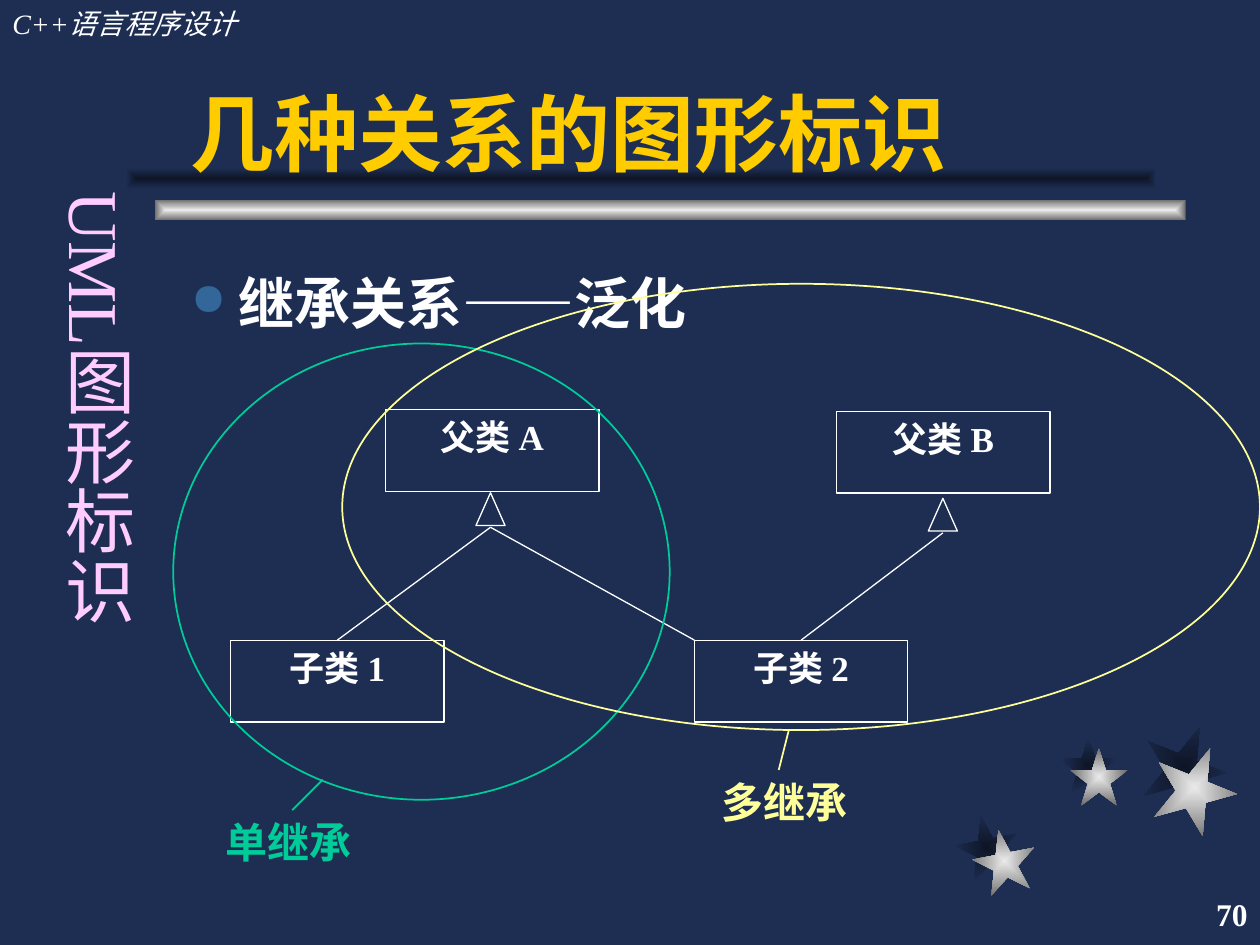
from lxml.etree import SubElement
from pptx import Presentation
from pptx.dml.color import RGBColor
from pptx.enum.shapes import MSO_CONNECTOR, MSO_SHAPE
from pptx.enum.text import MSO_ANCHOR, PP_ALIGN
from pptx.oxml.ns import qn
from pptx.util import Pt

NAVY, SHADE, WHITE = "1E2E53", "0E1526", "FFFFFF"
SILVER, GRAY = "EAEAEA", "6C6C6C"
GOLD, PINK, GREEN, YELLOW = "FFCC00", "FFCCFF", "00CC99", "FFFF99"
SERIF, SANS = "Times New Roman", "Arial"


def color(value):
    return RGBColor.from_string(value)


def write(shape, text, align=PP_ALIGN.LEFT, anchor=MSO_ANCHOR.TOP,
          font_color=WHITE, bullet=None, margins=(7.2, 3.6), **font_values):
    frame = shape.text_frame
    frame.word_wrap = True
    frame.vertical_anchor = anchor
    frame.margin_left = frame.margin_right = Pt(margins[0])
    frame.margin_top = frame.margin_bottom = Pt(margins[1])
    paragraph = frame.paragraphs[0]
    paragraph.text = text
    paragraph.alignment = align
    if bullet:
        add_bullet(paragraph, bullet)
    font = paragraph.runs[0].font
    for name, value in font_values.items():
        setattr(font, name, value)
    font.color.rgb = color(font_color)


def add_bullet(paragraph, bullet_color):
    properties = paragraph._p.get_or_add_pPr()
    properties.set("marL", str(Pt(27)))
    properties.set("indent", str(-Pt(27)))
    tint = SubElement(properties, qn("a:buClr"))
    SubElement(tint, qn("a:srgbClr"), val=bullet_color)
    SubElement(properties, qn("a:buSzPct"), val="80000")
    SubElement(properties, qn("a:buChar"), char="●")


def add_text(slide, box, text, **values):
    shape = slide.shapes.add_textbox(*map(Pt, box))
    write(shape, text, **values)
    return shape


def add_outline(slide, kind, box, line_color=WHITE, width=0.75):
    shape = slide.shapes.add_shape(kind, *map(Pt, box))
    shape.shadow.inherit = False
    shape.fill.background()
    shape.line.color.rgb = color(line_color)
    shape.line.width = Pt(width)
    return shape


def add_glow(slide, kind, box, center, edge, rotation=0):
    """Shape whose gradient runs from its centre to its edges."""
    shape = slide.shapes.add_shape(kind, *map(Pt, box))
    shape.shadow.inherit = False
    shape.line.fill.background()
    shape.rotation = rotation
    shape.fill.gradient()
    for stop, value in zip(shape.fill.gradient_stops, (center, edge)):
        stop.color.rgb = color(value)
    gradient = shape._element.spPr.find(qn("a:gradFill"))
    gradient.remove(gradient.find(qn("a:lin")))
    shade_path = SubElement(gradient, qn("a:path"), {"path": "rect"})
    SubElement(shade_path, qn("a:fillToRect"), dict.fromkeys("ltrb", "50000"))


def add_line(slide, start, end, line_color=WHITE, width=0.75):
    line = slide.shapes.add_connector(
        MSO_CONNECTOR.STRAIGHT, *map(Pt, (*start, *end)))
    line.line.color.rgb = color(line_color)
    line.line.width = Pt(width)
    SubElement(line._element.spPr, qn("a:effectLst"))
    return line


def draw_stars(slide, box):
    left, top = box[:2]
    # offset of the shadow, offset of the star, size, rotation
    stars = [
        ((0, 52), (10, 60), 36, 349),
        ((59.5, 7), (65.5, 13.5), 33, 0),
        ((106.5, 0), (112.5, 12), 48, 22),
    ]
    for layer, colors in enumerate([(SHADE, NAVY), (SILVER, GRAY)]):
        for *offsets, size, rotation in stars:
            x, y = offsets[layer]
            add_glow(slide, MSO_SHAPE.STAR_5_POINT,
                     (left + x, top + y, size, size), *colors, rotation)


def draw_title_bar(slide, box):
    left, top, width, height = box
    add_glow(slide, MSO_SHAPE.RECTANGLE, box, SILVER, GRAY)
    add_glow(slide, MSO_SHAPE.RECTANGLE,
             (left - 16.5, top - 18, width, height), SHADE, NAVY)


def draw_headings(slide, box):
    width, height = box[2:]
    add_text(slide, (0, 0, 222, 26.6), "C++语言程序设计",
             size=Pt(16), name=SERIF, italic=True)
    add_text(slide, (width - 150, height - 36, 150, 36), "70",
             align=PP_ALIGN.RIGHT, anchor=MSO_ANCHOR.MIDDLE,
             size=Pt(18), name=SERIF, bold=True)
    add_text(slide, (102, 18, 564, 90), "几种关系的图形标识",
             anchor=MSO_ANCHOR.BOTTOM, font_color=GOLD,
             size=Pt(48), name=SANS, bold=True)
    add_text(slide, (102, 150, 570, 324), "继承关系——泛化",
             bullet="336699", size=Pt(32), name=SANS, bold=True)


def draw_side_label(slide, box):
    label = add_text(slide, box, "UML图形标识", align=PP_ALIGN.CENTER,
                     margins=(3.6, 7.2), font_color=PINK,
                     size=Pt(40), name=SERIF)
    label.text_frame._txBody.bodyPr.set("vert", "eaVert")


def draw_class_diagram(slide, box):
    left, top, width, height = box
    class_width, class_height = 122, 46.8
    child_top = top + height - class_height
    right = left + width

    # Class boxes
    classes = {}
    for name, x, y in [
        ("父类 A", left + 88.5, top),
        ("父类 B", right - class_width, top + 1),
        ("子类 1", left, child_top),
        ("子类 2", left + 265, child_top),
    ]:
        shape = add_outline(slide, MSO_SHAPE.RECTANGLE,
                            (x, y, class_width, class_height))
        write(shape, name, align=PP_ALIGN.CENTER,
              size=Pt(20), name=SERIF, bold=True)
        classes[name] = shape

    # Generalization triangles
    base_a = (left + 148.5, top + 67.3)
    base_b = (left + 407, top + 70.5)
    for x, y in (base_a, base_b):
        add_outline(slide, MSO_SHAPE.ISOSCELES_TRIANGLE,
                    (x - 8.3, y - 19.7, 16.6, 18.7))

    # Lines from the triangles to the children
    add_line(slide, base_a, (left + 265, child_top))
    for base, child in ((base_a, "子类 1"), (base_b, "子类 2")):
        add_line(slide, base, (left, child_top)).end_connect(classes[child], 0)


def draw_group(slide, box, label, label_at, pointer, line_color):
    add_text(slide, (*label_at, 96.5, 36), label, font_color=line_color,
             size=Pt(24), name=SERIF, bold=True)
    add_outline(slide, MSO_SHAPE.OVAL, box, line_color, 1)
    add_line(slide, *pointer, line_color, 1)


def main():
    presentation = Presentation()
    presentation.slide_width, presentation.slide_height = Pt(720), Pt(540)
    slide = presentation.slides.add_slide(presentation.slide_layouts[6])
    slide.background.fill.solid()
    slide.background.fill.fore_color.rgb = color(NAVY)

    draw_stars(slide, (546, 414, 160, 98))
    draw_title_bar(slide, (88.5, 114, 589, 12))
    draw_headings(slide, (0, 0, 720, 540))
    draw_class_diagram(slide, (131.8, 234, 468.2, 178.6))
    draw_side_label(slide, (21.6, 102, 62, 372))
    draw_group(slide, (99, 196.3, 283.7, 260.7), "单继承", (121.7, 463),
               ((167, 463), (184.5, 445.5)), GREEN)
    draw_group(slide, (195.6, 162.2, 524.4, 255), "多继承", (405, 440),
               ((445, 440), (450.7, 417.5)), YELLOW)
    presentation.save("out.pptx")


if __name__ == "__main__":
    main()
